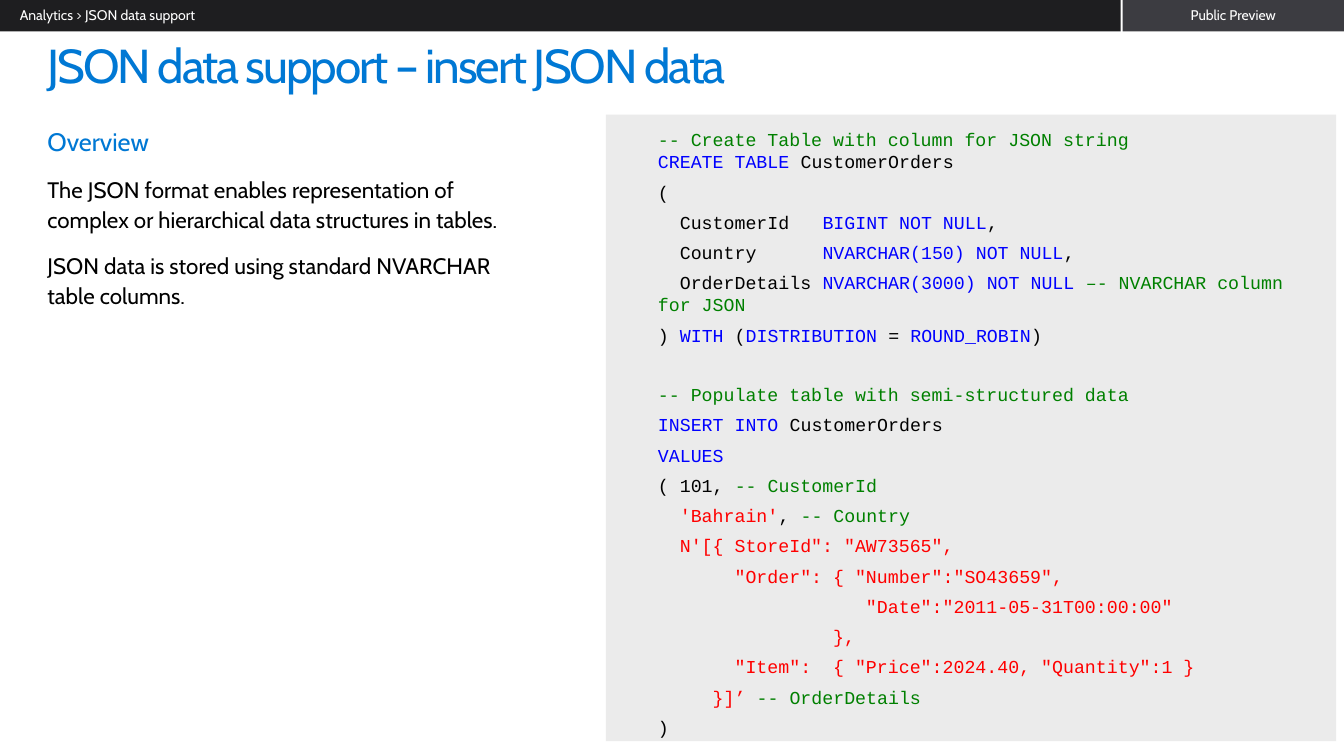
"""Build the slide on inserting JSON data into a table."""
from pptx import Presentation
from pptx.dml.color import RGBColor
from pptx.enum.shapes import MSO_SHAPE
from pptx.enum.text import MSO_ANCHOR, PP_ALIGN
from pptx.util import Cm, Pt

COLOURS = {
    "title": "0078D4", "plain": "000000", "keyword": "0000FF",
    "comment": "008000", "string": "FF0000", "panel": "EBEBEB",
    "breadcrumb": "1E1E20", "status": "3C3C41", "white": "FFFFFF",
}
MARGIN = 1.22
CODE_SIZE = 13.3
PARAGRAPH_GAP = 6.1
BLANK_LINE = 21.2

presentation = Presentation()
presentation.slide_width = Cm(34.54)
presentation.slide_height = Cm(19.43)
slide = presentation.slides.add_slide(presentation.slide_layouts[6])


def add_box(left, top, width, height, fill=None, insets=(0, 0)):
    """Add a filled rectangle, or a text box when there is no fill."""
    place = Cm(left), Cm(top), Cm(width), Cm(height)
    if fill:
        shape = slide.shapes.add_shape(MSO_SHAPE.RECTANGLE, *place)
        shape.shadow.inherit = False
        shape.fill.solid()
        shape.fill.fore_color.rgb = RGBColor.from_string(COLOURS[fill])
        shape.line.fill.background()
    else:
        shape = slide.shapes.add_textbox(*place)
    frame = shape.text_frame
    frame.word_wrap = True
    frame.margin_left = frame.margin_right = Cm(insets[0])
    frame.margin_top = frame.margin_bottom = Cm(insets[1])
    return frame


def style(paragraph, size, colour, line_spacing):
    """Set the font and line spacing of a paragraph."""
    paragraph.font.name = "Cabin"
    paragraph.font.size = Pt(size)
    paragraph.font.color.rgb = RGBColor.from_string(COLOURS[colour])
    paragraph.line_spacing = line_spacing


add_box(15.57, 2.95, 18.77, 16.1, "panel")

overview = add_box(MARGIN, 3.18, 12.52, 4.83)
overview_paragraphs = [
    ("Overview", 18.4, "title"),
    ("The JSON format enables representation of complex or hierarchical "
     "data structures in tables.", 16.3, "plain"),
    ("JSON data is stored using standard NVARCHAR table columns.", 16.3, "plain"),
]
for index, (text, size, colour) in enumerate(overview_paragraphs):
    paragraph = overview.add_paragraph() if index else overview.paragraphs[0]
    paragraph.text = text
    style(paragraph, size, colour, 1.1)
    paragraph.space_before = Pt(PARAGRAPH_GAP if index else 0)
    paragraph.space_after = Pt(PARAGRAPH_GAP)

title = add_box(MARGIN, 0.64, 32.13, 2.08, insets=(0, 0.46)).paragraphs[0]
title.text = "JSON data support – insert JSON data"
style(title, 34.7, "title", 0.9)
title.runs[0].font._element.set("spc", "-150")

code_lines = [
    [("comment", "-- Create Table with column for JSON string")],
    [("keyword", "CREATE TABLE "), ("plain", "CustomerOrders")],
    [("plain", "(")],
    [("plain", "  CustomerId   "), ("keyword", "BIGINT NOT NULL"), ("plain", ",")],
    [("plain", "  Country      "), ("keyword", "NVARCHAR(150) NOT NULL"), ("plain", ",")],
    [("plain", "  OrderDetails "), ("keyword", "NVARCHAR(3000) NOT NULL "),
     ("comment", "–- NVARCHAR column for JSON")],
    [("plain", ") "), ("keyword", "WITH"), ("plain", " ("), ("keyword", "DISTRIBUTION"),
     ("plain", " = "), ("keyword", "ROUND_ROBIN"), ("plain", ")")],
    [("comment", "-- Populate table with semi-structured data")],
    [("keyword", "INSERT INTO "), ("plain", "CustomerOrders")],
    [("keyword", "VALUES")],
    [("plain", "( 101, "), ("comment", "-- CustomerId")],
    [("string", "  'Bahrain'"), ("plain", ", "), ("comment", "-- Country")],
    [("string", "  N'[{ StoreId\": \"AW73565\",")],
    [("string", "       \"Order\": { \"Number\":\"SO43659\",")],
    [("string", "                   \"Date\":\"2011-05-31T00:00:00\"")],
    [("string", "                },")],
    [("string", "       \"Item\":  { \"Price\":2024.40, \"Quantity\":1 }")],
    [("string", "     }]’ "), ("comment", "-- OrderDetails")],
    [("plain", ")")],
]
code = add_box(16.66, 3.18, 17.48, 15.44, insets=(0.25, 0.13))
for index, line in enumerate(code_lines):
    paragraph = code.add_paragraph() if index else code.paragraphs[0]
    paragraph.font.name = "Courier New"
    paragraph.font.size = Pt(CODE_SIZE)
    paragraph.space_after = Pt(PARAGRAPH_GAP if index else 0)
    if line[0][1].startswith("-- Populate"):
        paragraph.space_before = Pt(BLANK_LINE)
    for colour, text in line:
        run = paragraph.add_run()
        run.text = text
        run.font.color.rgb = RGBColor.from_string(COLOURS[colour])

header_bars = [
    (28.85, 5.69, "status", "Public Preview", PP_ALIGN.CENTER),
    (0, 28.8, "breadcrumb", "Analytics > JSON data support", PP_ALIGN.LEFT),
]
for left, width, fill, text, alignment in header_bars:
    bar = add_box(left, 0, width, 0.81, fill, insets=(0.51, 0.41))
    bar.vertical_anchor = MSO_ANCHOR.MIDDLE
    label = bar.paragraphs[0]
    label.text = text
    label.alignment = alignment
    style(label, 10.2, "white", 0.9)

presentation.save("out.pptx")
